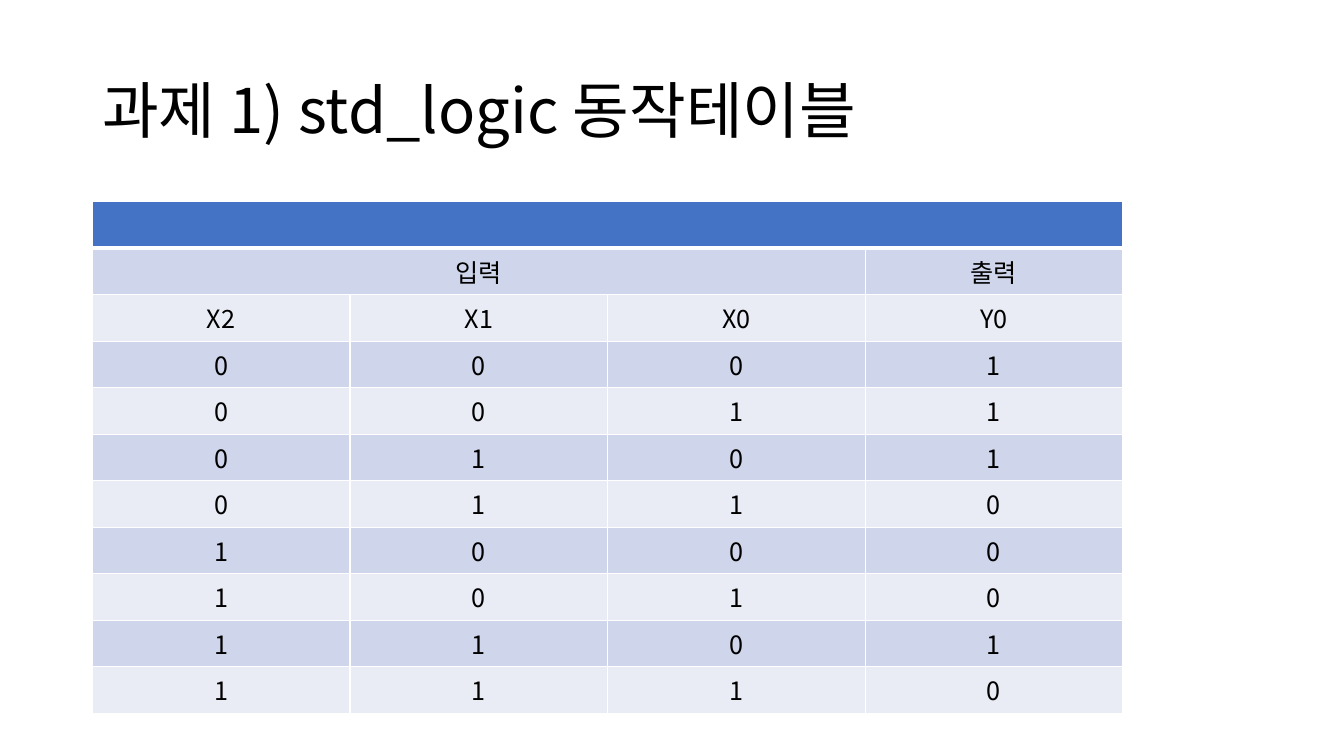
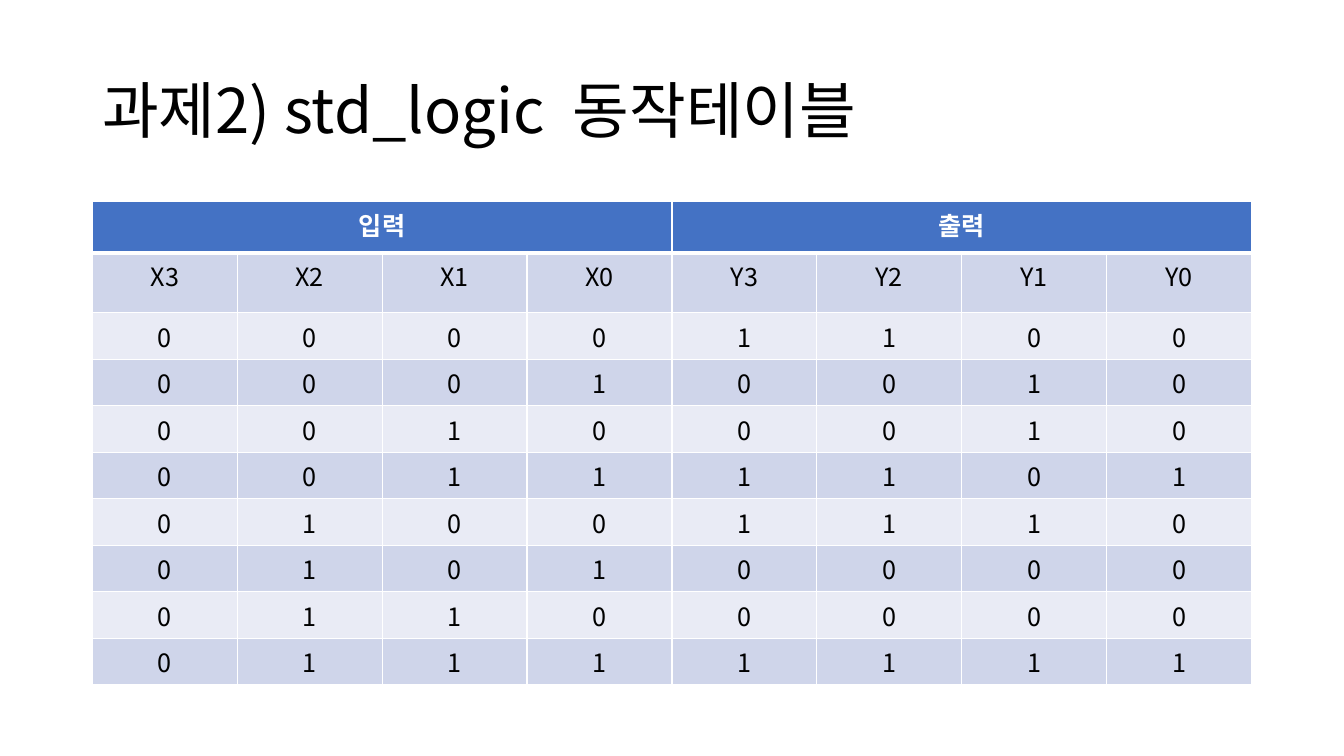
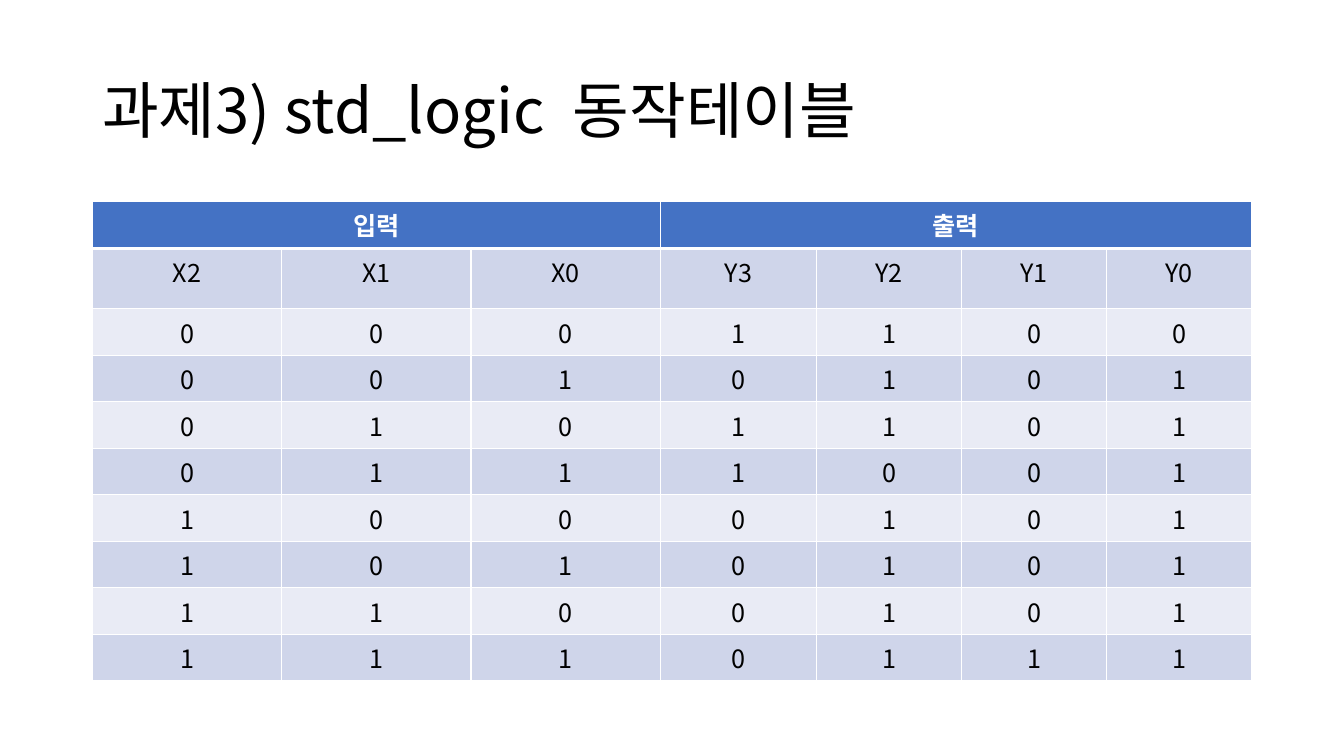
from pptx import Presentation as Deck
from pptx.dml.color import RGBColor as Color
from pptx.enum.text import MSO_ANCHOR as Anchor, PP_ALIGN as Align
from pptx.oxml.ns import qn
from pptx.util import Pt
from lxml.etree import SubElement as Sub

FONT = "Noto Sans CJK KR"
BLACK = Color(0x00, 0x00, 0x00)
WHITE = Color(0xFF, 0xFF, 0xFF)
BLUE = Color(0x44, 0x72, 0xC4)
BANDS = (Color(0xE9, 0xEB, 0xF5), Color(0xCF, 0xD5, 0xEA))
LEFT, TOP, ROW = 66, 144, 33.25


def write(frame, text, size=18, color=BLACK, bold=False, align=Align.CENTER, space=1.0):
    para = frame.paragraphs[0]
    para.alignment = align
    para.line_spacing = space
    run = para.add_run()
    run.text = text
    font = run.font
    font.name, font.size, font.bold = FONT, Pt(size), bold
    font.color.rgb = color
    Sub(font._element, qn("a:ea"), typeface=FONT)


class Sheet:
    """Builds slides that hold a title and a truth table."""

    def __init__(self):
        self.deck = Deck()
        self.deck.slide_width, self.deck.slide_height = Pt(960), Pt(540)
        self.slide = None

    def start(self, title):
        self.slide = self.deck.slides.add_slide(self.deck.slide_layouts[6])
        box = self.slide.shapes.add_textbox(Pt(LEFT), Pt(28.75), Pt(828), Pt(104.4))
        frame = box.text_frame
        frame.word_wrap = True
        frame.vertical_anchor = Anchor.MIDDLE
        write(frame, title, size=44, align=Align.LEFT, space=0.9)

    def edge(self, cell, row):
        props = cell._tc.get_or_add_tcPr()
        thick = {(0, "B"), (1, "T")}
        for side in "LRTB":
            width = Pt(3 if (row, side) in thick else 1)
            line = Sub(props, qn(f"a:ln{side}"), w=str(width))
            fill = Sub(line, qn("a:solidFill"))
            Sub(fill, qn("a:srgbClr"), val=str(WHITE))

    def table(self, heads, names, data, widths, highs):
        rows = len(heads) + 1 + len(data)
        highs = highs + [ROW] * (rows - len(highs))
        grid = self.slide.shapes.add_table(
            rows, len(widths), Pt(LEFT), Pt(TOP), Pt(sum(widths)), Pt(sum(highs))
        ).table
        grid.first_row = grid.horz_banding = False
        for col, width in zip(grid.columns, widths):
            col.width = Pt(width)
        for r, high in enumerate(highs):
            grid.rows[r].height = Pt(high)
            for c in range(len(widths)):
                cell = grid.cell(r, c)
                self.edge(cell, r)
                cell.fill.solid()
                cell.fill.fore_color.rgb = BANDS[r % 2] if r else BLUE
        for r, groups in enumerate(heads):
            c = 0
            for text, span in groups:
                cell = grid.cell(r, c)
                if span > 1:
                    cell.merge(grid.cell(r, c + span - 1))
                if text:
                    write(cell.text_frame, text, color=BLACK if r else WHITE, bold=r == 0)
                c += span
        for r, line in enumerate([names.split(), *data], len(heads)):
            for c, text in enumerate(line):
                write(grid.cell(r, c).text_frame, text)


def main():
    sheet = Sheet()

    sheet.start("과제 1) std_logic 동작테이블")
    sheet.table(
        [[("", 4)], [("입력", 3), ("출력", 1)]],
        "X2 X1 X0 Y0",
        ["0001", "0011", "0101", "0110", "1000", "1010", "1101", "1110"],
        [184] * 4,
        [],
    )

    sheet.start("과제2) std_logic  동작테이블")
    sheet.table(
        [[("입력", 4), ("출력", 4)]],
        "X3 X2 X1 X0 Y3 Y2 Y1 Y0",
        ["00001100", "00010010", "00100010", "00111101",
         "01001110", "01010000", "01100000", "01111111"],
        [103.5] * 8,
        [36.5, 43],
    )

    sheet.start("과제3) std_logic  동작테이블")
    sheet.table(
        [[("입력", 3), ("출력", 4)]],
        "X2 X1 X0 Y3 Y2 Y1 Y0",
        ["0001100", "0010101", "0101101", "0111001",
         "1000101", "1010101", "1100101", "1110111"],
        [135.25] * 3 + [111.75] + [103.5] * 3,
        [33.6, 43],
    )

    sheet.deck.save("out.pptx")


if __name__ == "__main__":
    main()
